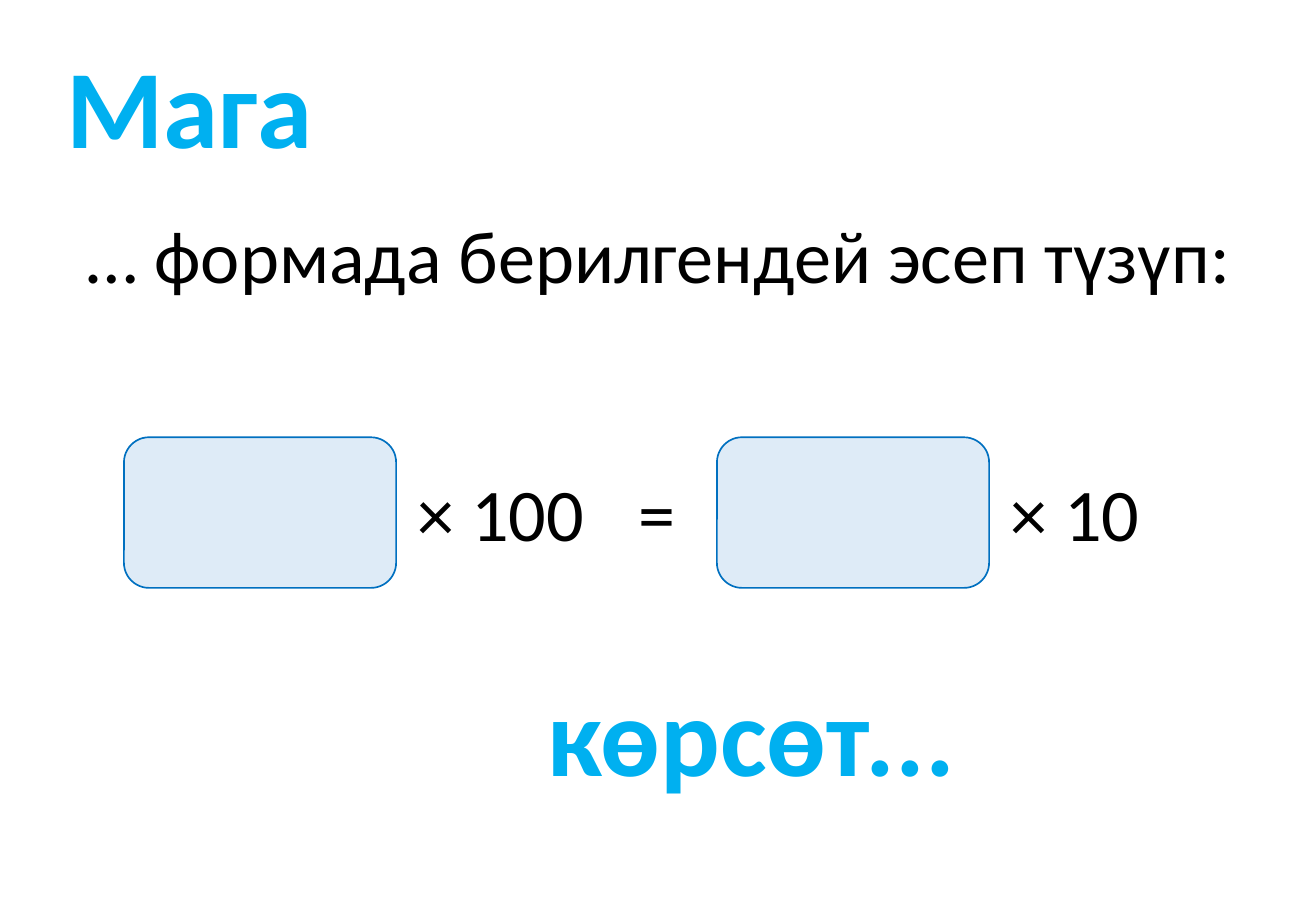
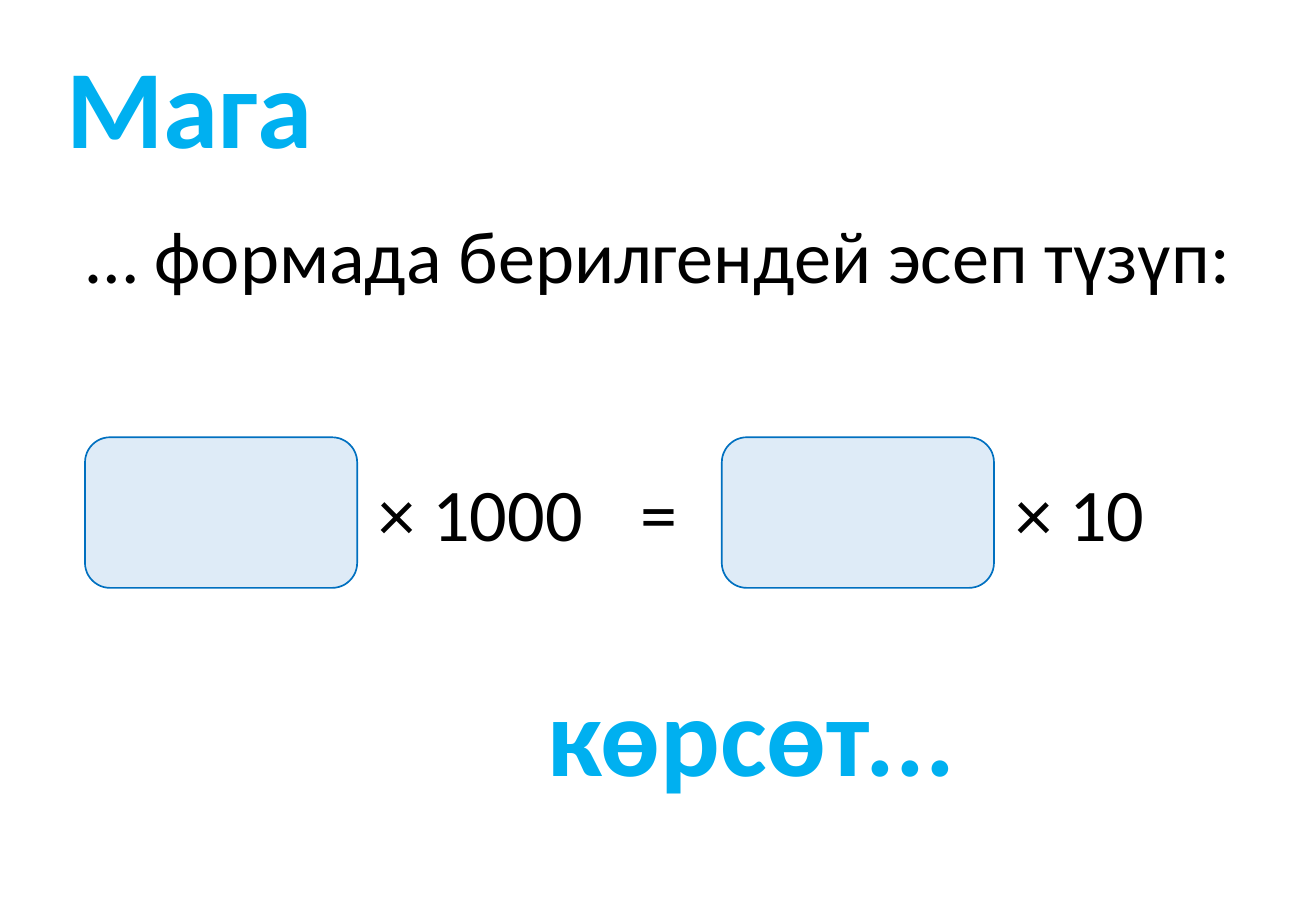
from pptx import Presentation
from pptx.dml.color import RGBColor
from pptx.enum.shapes import MSO_SHAPE as Shape
from pptx.enum.text import MSO_ANCHOR as Anchor, MSO_AUTO_SIZE as Auto, PP_ALIGN as Align
from pptx.util import Inches, Pt

# Page and grid: 100 columns by 100 rows
deck = Presentation()
deck.slide_width, deck.slide_height = Inches(10.83), Inches(7.5)
COL, ROW = deck.slide_width / 100, deck.slide_height / 100

# Shared look
FONT = "Calibri"
BLACK, SKY, PALE, EDGE = "000000", "00B0F0", "DEEBF7", "0070C0"
HEAD = dict(size=66, color=SKY, bold=True, wrap=True, anchor=Anchor.TOP)

# Shared measures, in columns and rows
BOX_W, BOX_H, BOX_Y = 20.68, 16.53, 48
STEP = 21.4
TEXT_Y, TEXT_H, HEAD_H = 50.53, 11.2, 16.13


def paint(fmt, tone):
    fmt.rgb = RGBColor.from_string(tone)


def write(shapes, text, x, y, w, h, size=44, color=BLACK, bold=False,
          wrap=False, anchor=Anchor.MIDDLE, align=Align.LEFT):
    box = shapes.add_textbox(round(x * COL), round(y * ROW), round(w * COL), round(h * ROW))
    frame = box.text_frame
    frame.word_wrap, frame.vertical_anchor = wrap, anchor
    frame.auto_size = Auto.SHAPE_TO_FIT_TEXT
    line = frame.paragraphs[0]
    line.alignment = align
    run = line.add_run()
    run.text = text
    run.font.name, run.font.size, run.font.bold = FONT, Pt(size), bold
    paint(run.font.color, color)


# Each slide: column of the equals sign, then the terms (column, factor, label width)
tasks = [
    (47.55, [(9.42, "× 100", 14.68), (54.48, "× 10", 11.73)]),
    (47.74, [(6.46, "× 1000", 17.54), (54.85, "× 10", 11.73)]),
]

for sign, terms in tasks:
    shapes = deck.slides.add_slide(deck.slide_layouts[6]).shapes

    # Heading, prompt and closing word
    write(shapes, "Мага", 4.16, 3.47, 67.5, HEAD_H, **HEAD)
    write(shapes, "… формада берилгендей эсеп түзүп:", 5.26, 22.27, 89.66, TEXT_H,
          align=Align.CENTER)
    write(shapes, "көрсөт...", 40.72, 72.4, 55, HEAD_H, **HEAD)

    # Equation: an empty box and its factor on each side
    for x, label, wide in terms:
        term = shapes.add_group_shape().shapes
        box = term.add_shape(Shape.ROUNDED_RECTANGLE, round(x * COL), round(BOX_Y * ROW),
                             round(BOX_W * COL), round(BOX_H * ROW))
        box.shadow.inherit = False
        box.fill.solid()
        paint(box.fill.fore_color, PALE)
        paint(box.line.color, EDGE)
        box.line.width = Pt(1)
        write(term, label, x + STEP, TEXT_Y, wide, TEXT_H)
    write(shapes, "=", sign, TEXT_Y, 4.71, TEXT_H, align=Align.CENTER)

deck.save("out.pptx")
